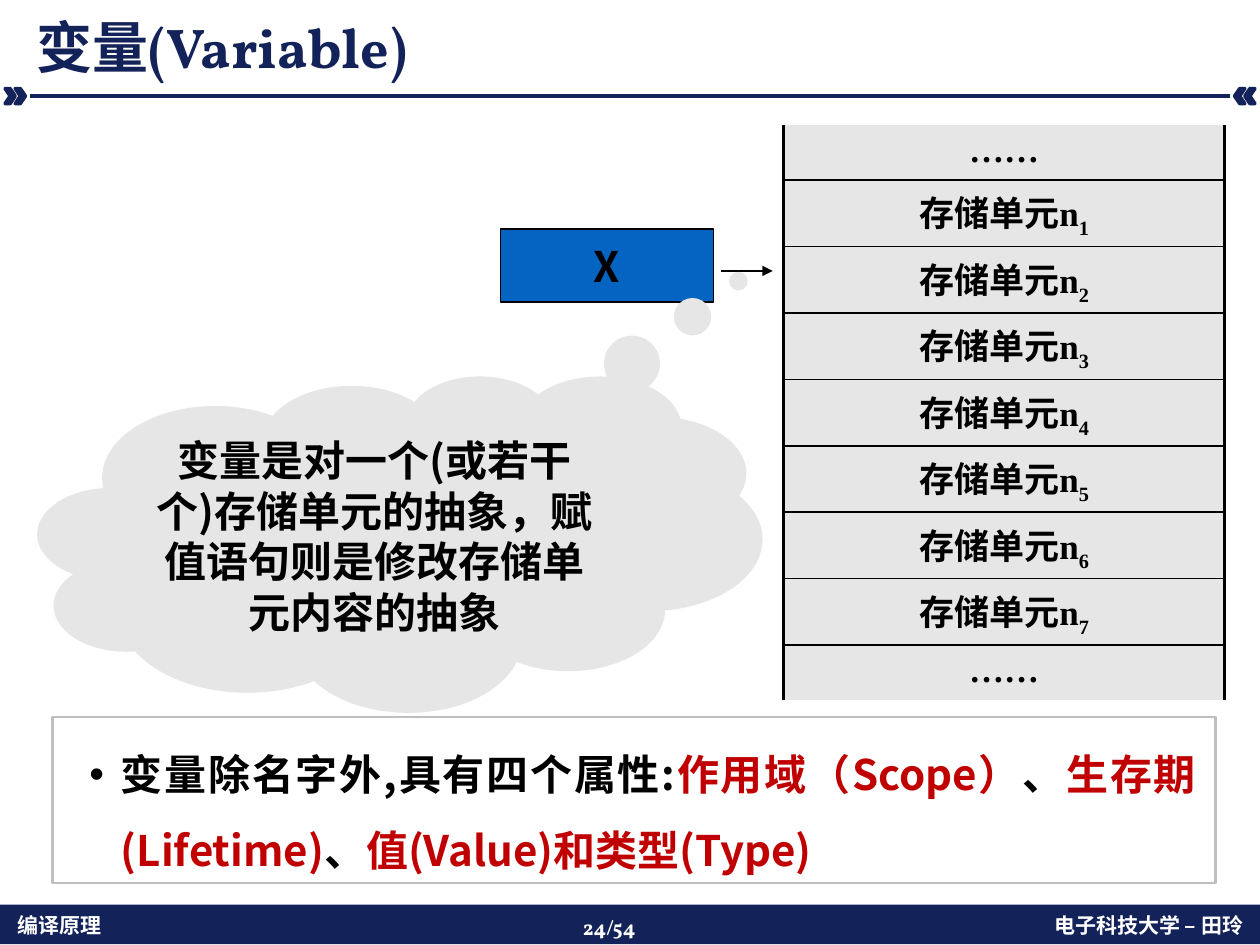
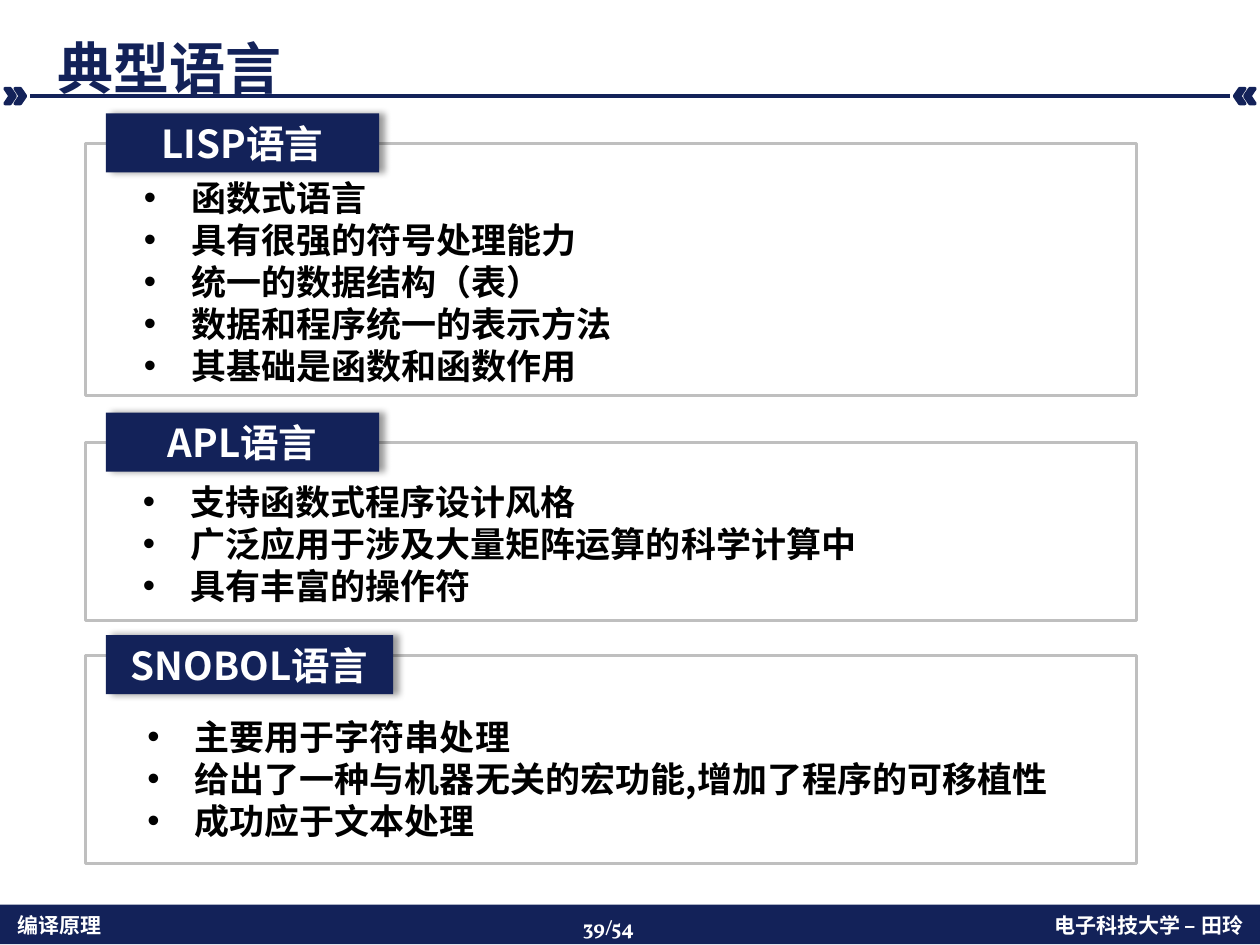
from lxml import etree
from pptx import Presentation
from pptx.dml.color import RGBColor
from pptx.enum.shapes import MSO_CONNECTOR as Connector, MSO_SHAPE as Shape
from pptx.enum.text import MSO_ANCHOR as Anchor, MSO_AUTO_SIZE as AutoSize, PP_ALIGN as Align
from pptx.oxml.ns import qn
from pptx.util import Pt

NAVY = RGBColor(0x13, 0x22, 0x59)
BLUE = RGBColor(0x05, 0x63, 0xC1)
RED = RGBColor(0xC0, 0x00, 0x00)
GRAY = RGBColor(0xBF, 0xBF, 0xBF)
PALE = RGBColor(0xE7, 0xE6, 0xE6)
BLACK = RGBColor(0, 0, 0)
WHITE = RGBColor(255, 255, 255)

SANS = "Noto Sans CJK SC"
SERIF = "Times New Roman"
TITLE_FONT = "Vollkorn"
WIDTH, HEIGHT = 720, 540
PAGE_COUNT = 54


def points(*lengths):
    return [Pt(length) for length in lengths]


def add_element(parent, tag, **attributes):
    return etree.SubElement(parent, qn(tag), attributes)


def add_color(parent, color):
    fill = add_element(parent, "a:solidFill")
    return add_element(fill, "a:srgbClr", val=str(color))


def style_paragraph(paragraph, size, color, name=SANS, align=Align.LEFT):
    """Make the paragraph bold in one font, also for its Chinese characters."""
    paragraph.alignment = align
    font = paragraph.font
    font.size, font.bold, font.name = Pt(size), True, name
    font.color.rgb = color
    defaults = paragraph._p.pPr.find(qn("a:defRPr"))
    add_element(defaults, "a:ea", typeface=SANS)


def set_bullet(paragraph, margin, hanging):
    properties = paragraph._p.get_or_add_pPr()
    properties.set("marL", str(Pt(margin)))
    properties.set("indent", str(-Pt(hanging)))
    bullet_font = etree.Element(qn("a:buFont"), typeface="Arial")
    bullet = etree.Element(qn("a:buChar"), char="•")
    defaults = properties.find(qn("a:defRPr"))
    defaults.addprevious(bullet_font)
    defaults.addprevious(bullet)


def place(placeholder, box, anchor=Anchor.TOP):
    """Move a placeholder to the box and return its text frame."""
    placeholder.left, placeholder.top, placeholder.width, placeholder.height = points(*box)
    frame = placeholder.text_frame
    frame.auto_size = AutoSize.NONE
    frame.word_wrap = True
    frame.vertical_anchor = anchor
    return frame


def add_shape(slide, kind, box, fill=None, line=None, line_width=1):
    shape = slide.shapes.add_shape(kind, *points(*box))
    shape.shadow.inherit = False
    if fill is None:
        shape.fill.background()
    else:
        shape.fill.solid()
        shape.fill.fore_color.rgb = fill
    if line is None:
        shape.line.fill.background()
    else:
        shape.line.color.rgb = line
        shape.line.width = Pt(line_width)
    return shape


def add_label(shape, text, size, color):
    frame = shape.text_frame
    frame.vertical_anchor = Anchor.MIDDLE
    frame.text = text
    style_paragraph(frame.paragraphs[0], size, color, align=Align.CENTER)


def add_line(slide, start, end, color, width):
    line = slide.shapes.add_connector(Connector.STRAIGHT, *points(*start, *end))
    line.line.color.rgb = color
    line.line.width = Pt(width)
    add_element(line._element.spPr, "a:effectLst")
    return line


def add_footer_text(slide, box, text, font=SANS, align=Align.LEFT):
    frame = slide.shapes.add_textbox(*points(*box)).text_frame
    frame.word_wrap = True
    frame.text = text
    style_paragraph(frame.paragraphs[0], 12, WHITE, font, align)


def add_footer(slide, page, top=517):
    add_shape(slide, Shape.RECTANGLE, (0, top, WIDTH, 22.5), NAVY)
    add_footer_text(slide, (3, top + 0.7, 212, 21.6), "编译原理")
    add_footer_text(slide, (502.5, top + 0.7, 215, 21.6), "电子科技大学 – 田玲",
                    align=Align.RIGHT)
    add_footer_text(slide, (326, top + 2, 68, 21.6), f"{page}/{PAGE_COUNT}", TITLE_FONT)


def add_title_rule(slide, middle=54.9):
    """Draw the line under the title with two chevrons pointing in at each end."""
    width, height = 5.8, 8.6
    for left in (2.9, 2.9 + width):
        for x, rotation in ((left, 0), (WIDTH - left - width, 180)):
            box = (x, middle - height / 2, width, height)
            add_shape(slide, Shape.CHEVRON, box, NAVY, NAVY, 2).rotation = rotation
    add_line(slide, (17.3, middle), (WIDTH - 17.3, middle), NAVY, 2)


def add_slide(presentation, layout, title, title_position, page):
    slide = presentation.slides.add_slide(presentation.slide_layouts.get_by_name(layout))
    add_footer(slide, page)
    add_title_rule(slide)
    frame = place(slide.shapes.title, (*title_position, 692, 46), Anchor.BOTTOM)
    frame.text = title
    paragraph = frame.paragraphs[0]
    paragraph.line_spacing = 0.9
    style_paragraph(paragraph, 32, NAVY, TITLE_FONT)
    return slide


def set_borders(cell, widths):
    """Set black borders by side; a width of 0 hides that side."""
    properties = cell._tc.get_or_add_tcPr()
    for index, side in enumerate("LRTB"):
        line = etree.Element(qn(f"a:ln{side}"), w=str(Pt(widths[side])))
        if widths[side]:
            add_color(line, BLACK)
        else:
            add_element(line, "a:noFill")
        properties.insert(index, line)


def add_memory_table(slide, left, top, width):
    numbers = [None, *range(1, 8), None]
    heights = [38 if number else 31.5 for number in numbers]
    table = slide.shapes.add_table(
        len(numbers), 1, *points(left, top, width, sum(heights))).table
    table.first_row = table.horz_banding = False
    last = len(numbers) - 1
    for index, (number, height) in enumerate(zip(numbers, heights)):
        table.rows[index].height = Pt(height)
        cell = table.cell(index, 0)
        cell.margin_left = cell.margin_right = 0
        cell.fill.solid()
        cell.fill.fore_color.rgb = PALE
        set_borders(cell, {"L": 2.25, "R": 2.25, "T": min(index, 1), "B": min(last - index, 1)})
        paragraph = cell.text_frame.paragraphs[0]
        paragraph.space_before = Pt(2)
        style_paragraph(paragraph, 20, BLACK, SERIF, Align.CENTER)
        paragraph.add_run().text = "存储单元n" if number else "……"
        if number:
            subscript = paragraph.add_run()
            subscript.text = str(number)
            subscript._r.get_or_add_rPr().set("baseline", "-25000")


def add_variable_diagram(slide, left, top):
    """Draw the variable, its arrow to memory and the cloud that explains it."""
    variable = add_shape(slide, Shape.RECTANGLE, (left + 264.4, top, 121.7, 41.8), BLUE, BLACK)
    add_label(variable, "X", 24, BLACK)
    variable.text_frame.word_wrap = False

    arrow_y = top + 23.8
    arrow = add_line(slide, (left + 390.2, arrow_y), (left + 420, arrow_y), BLACK, 0.75)
    add_element(arrow.line._get_or_add_ln(), "a:tailEnd", type="triangle")

    cloud = add_shape(slide, Shape.CLOUD_CALLOUT, (left, top + 83.5, 414, 192.2), PALE)
    cloud.adjustments[0], cloud.adjustments[1] = 0.467, -0.78
    add_label(cloud, "变量是对一个(或若干个)存储单元的抽象，赋值语句则是修改存储单元内容的抽象",
              24, BLACK)


def add_attributes(slide, left, top, width, height):
    frame = place(slide.placeholders[1], (left - 22.3, top, width + 18, height - 3))
    paragraph = frame.paragraphs[0]
    paragraph.line_spacing = 1.5
    paragraph.space_before = Pt(5)
    style_paragraph(paragraph, 24, BLACK, align=Align.JUSTIFY)
    set_bullet(paragraph, 54, 18)
    for text, color in (("变量除名字外,具有四个属性:", BLACK), ("作用域（Scope）", RED),
                        ("、", BLACK), ("生存期(Lifetime)", RED),
                        ("、", BLACK), ("值(Value)和类型(Type)", RED)):
        run = paragraph.add_run()
        run.text = text
        run.font.color.rgb = color
    add_shape(slide, Shape.RECTANGLE, (left, top, width, height), None, GRAY, 1.5)


def add_tab_shadow(tab):
    effects = tab._element.spPr.find(qn("a:effectLst"))
    shadow = add_element(effects, "a:outerShdw", blurRad=str(Pt(4)), dist=str(Pt(3)),
                         dir="0", algn="l", rotWithShape="0")
    color = add_element(shadow, "a:srgbClr", val=str(BLACK))
    add_element(color, "a:alpha", val="40000")


def add_language_panel(slide, placeholder, box, name, tab_size, tab_rise, list_offset, features):
    """Frame a list of features, with a name tab across the top edge."""
    left, top, width, height = box
    add_shape(slide, Shape.RECTANGLE, box, None, GRAY, 1.5)
    tab = add_shape(slide, Shape.RECTANGLE, (left + 11.5, top - tab_rise, *tab_size), NAVY)
    add_tab_shadow(tab)
    add_label(tab, name, 22, WHITE)

    list_left, list_top = left + list_offset[0], top + list_offset[1]
    list_box = (list_left, list_top, left + width - list_left, 24 * len(features) + 8)
    frame = place(placeholder, list_box)
    frame.text = "\n".join(features)
    for paragraph in frame.paragraphs:
        paragraph.space_before = Pt(0)
        style_paragraph(paragraph, 20, BLACK)
        set_bullet(paragraph, 27, 27)


def build_variable_slide(presentation):
    slide = add_slide(presentation, "Title and Content", "变量(Variable)", (13.7, 3.6), 24)
    add_memory_table(slide, 447.8, 71.3, 252)
    add_variable_diagram(slide, 21.6, 131)
    add_attributes(slide, 30.2, 409.7, 664.6, 95)


def build_languages_slide(presentation):
    slide = add_slide(presentation, "Comparison", "典型语言", (25.9, 15.8), 39)
    panels = (
        (82, 144, "LISP语言", 156.2, 17.2, (26, 15.2),
         ("函数式语言", "具有很强的符号处理能力", "统一的数据结构（表）",
          "数据和程序统一的表示方法", "其基础是函数和函数作用")),
        (253, 101.5, "APL语言", 156.2, 17.2, (25.5, 17.8),
         ("支持函数式程序设计风格", "广泛应用于涉及大量矩阵运算的科学计算中", "具有丰富的操作符")),
        (374.5, 118.8, "SNOBOL语言", 164.2, 11.6, (28, 31),
         ("主要用于字符串处理", "给出了一种与机器无关的宏功能,增加了程序的可移植性",
          "成功应于文本处理")),
    )
    *bodies, spare = [shape for shape in slide.placeholders
                      if shape.placeholder_format.idx in range(1, 5)]
    for body, (top, height, name, tab_width, rise, offset, features) in zip(bodies, panels):
        add_language_panel(slide, body, (49, top, 600.5, height), name,
                           (tab_width, 33.8), rise, offset, features)
    spare._element.getparent().remove(spare._element)


def main():
    presentation = Presentation()
    presentation.slide_width, presentation.slide_height = points(WIDTH, HEIGHT)
    build_variable_slide(presentation)
    build_languages_slide(presentation)
    presentation.save("out.pptx")


if __name__ == "__main__":
    main()
